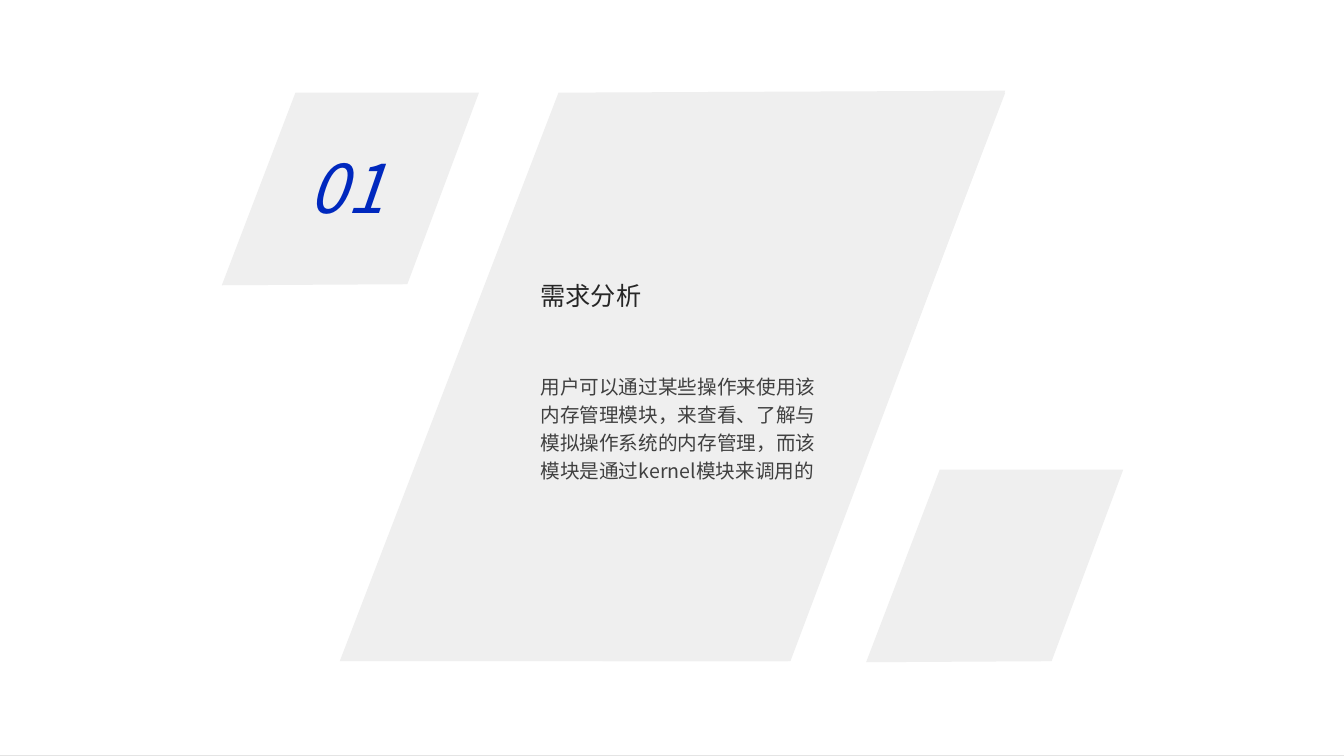
from dataclasses import dataclass

from lxml import etree
from pptx import Presentation
from pptx.dml.color import RGBColor
from pptx.enum.shapes import MSO_SHAPE
from pptx.enum.text import MSO_ANCHOR, MSO_AUTO_SIZE, PP_ALIGN
from pptx.oxml.ns import qn
from pptx.util import Inches, Pt

RECTANGLE = MSO_SHAPE.RECTANGLE
LEFT, CENTER = PP_ALIGN.LEFT, PP_ALIGN.CENTER
TOP, BOTTOM = MSO_ANCHOR.TOP, MSO_ANCHOR.BOTTOM
NO_AUTOFIT = MSO_AUTO_SIZE.NONE

NUMBER = "01"
TITLE = "需求分析"
BODY = "用户可以通过某些操作来使用该内存管理模块，来查看、了解与模拟操作系统的内存管理，而该模块是通过kernel模块来调用的"

SMALL_TILE = [(0, 1.91), (0.73, 0), (2.55, 0), (1.84, 1.9)]
LARGE_TILE = [(0, 5.66), (2.17, 0.02), (6.6, 0), (4.47, 5.66)]
NARROW_TILE = [(0, 5.64), (2.18, 0), (3.99, 0), (1.83, 5.64)]
TILES = [
    (2.2, 0.92, SMALL_TILE),
    (8.59, 4.66, SMALL_TILE),
    (3.37, 0.9, LARGE_TILE),
    (5.98, 0.92, NARROW_TILE),
]


@dataclass(frozen=True)
class Theme:
    font: str = "Noto Sans CJK SC"
    edge: str = "E4E4E4"
    paper: str = "FFFFFF"
    tile: str = "EFEFEF"
    title: str = "262626"
    body: str = "404040"
    accent: str = "0028BE"
    title_size: int = 18
    body_size: int = 14
    number_size: int = 48


THEME = Theme()


def paint(shape, color):
    shape.fill.solid()
    shape.fill.fore_color.rgb = RGBColor.from_string(color)
    shape.line.fill.background()
    shape.shadow.inherit = False


def add_tile(page, left, top, corners):
    points = [(Inches(left + x), Inches(top + y)) for x, y in corners]
    builder = page.shapes.build_freeform(*points[0], scale=1.0)
    builder.add_line_segments(points[1:], close=True)
    paint(builder.convert_to_shape(), THEME.tile)


def write(box, text, *, at, size, color, align=LEFT, anchor=TOP, spacing=1.0, italic=False):
    box.left, box.top, box.width, box.height = map(Inches, at)
    frame = box.text_frame
    frame.word_wrap = True
    frame.auto_size = NO_AUTOFIT
    frame.vertical_anchor = anchor
    para = frame.paragraphs[0]
    para.alignment = align
    para.line_spacing = spacing
    para.space_before = Pt(0)
    properties = para._p.get_or_add_pPr()
    properties.set("marL", "0")
    properties.set("indent", "0")
    etree.SubElement(properties, qn("a:buNone"))
    span = para.add_run()
    span.text = text
    span.font.name = THEME.font
    span.font.size = Pt(size)
    span.font.italic = italic
    span.font.color.rgb = RGBColor.from_string(color)
    east_asian = etree.SubElement(span._r.get_or_add_rPr(), qn("a:ea"))
    east_asian.set("typeface", THEME.font)


def main():
    deck = Presentation()
    deck.slide_width, deck.slide_height = Inches(13.33), Inches(7.5)
    page = deck.slides.add_slide(deck.slide_layouts[1])
    title, body = page.placeholders
    page.background.fill.solid()
    page.background.fill.fore_color.rgb = RGBColor.from_string(THEME.edge)

    paper = page.shapes.add_shape(
        RECTANGLE, Inches(-0.01), Inches(-0.01), Inches(13.34), Inches(7.5)
    )
    paint(paper, THEME.paper)
    for left, top, corners in TILES:
        add_tile(page, left, top, corners)
    for box in (title, body):
        page.shapes._spTree.append(box._element)

    write(title, TITLE, at=(5.26, 2.38, 3.05, 0.75), size=THEME.title_size,
          color=THEME.title, anchor=BOTTOM, spacing=1.2)
    write(body, BODY, at=(5.26, 3.62, 2.94, 1.51), size=THEME.body_size,
          color=THEME.body, spacing=1.2)
    number = page.shapes.add_textbox(0, 0, 0, 0)
    write(number, NUMBER, at=(2.82, 1.4, 1.23, 0.91), size=THEME.number_size,
          color=THEME.accent, align=CENTER, italic=True)
    deck.save("out.pptx")


if __name__ == "__main__":
    main()
